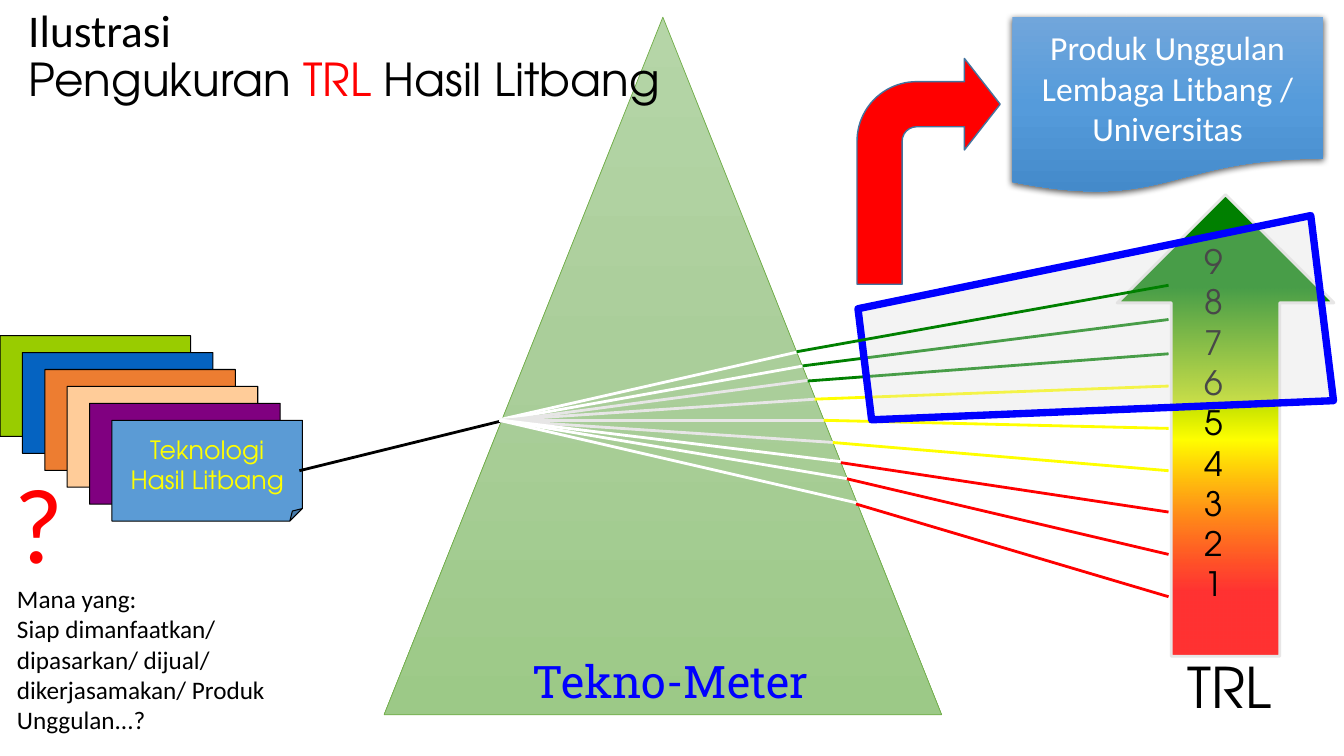
from dataclasses import dataclass
from typing import Optional

from pptx import Presentation
from pptx.dml.color import RGBColor
from pptx.enum.shapes import MSO_CONNECTOR, MSO_SHAPE
from pptx.enum.text import MSO_ANCHOR, MSO_AUTO_SIZE, PP_ALIGN
from pptx.oxml.ns import qn
from pptx.util import Inches, Pt
from lxml.etree import SubElement

BLACK = RGBColor(0x00, 0x00, 0x00)
WHITE = RGBColor(0xFF, 0xFF, 0xFF)
GREY = RGBColor(0xE7, 0xE6, 0xE6)
PANEL_GREY = RGBColor(0xDB, 0xDB, 0xDB)
RED = RGBColor(0xFF, 0x00, 0x00)
YELLOW = RGBColor(0xFF, 0xFF, 0x00)
GREEN = RGBColor(0x00, 0x80, 0x00)
BLUE = RGBColor(0x00, 0x00, 0xFF)
SKY = RGBColor(0x5B, 0x9B, 0xD5)
STEEL = RGBColor(0x43, 0x73, 0x9E)
PRISM_EDGE = RGBColor(0x70, 0xAD, 0x47)
CARD_COLORS = [RGBColor(0x99, 0xCC, 0x00), RGBColor(0x05, 0x63, 0xC1),
               RGBColor(0xED, 0x7D, 0x31), RGBColor(0xFF, 0xCC, 0x99),
               RGBColor(0x80, 0x00, 0x80), SKY]
PRISM_STOPS = [(0, RGBColor(0xB5, 0xD5, 0xA7), 100),
               (50, RGBColor(0xAA, 0xCE, 0x9A), 100),
               (100, RGBColor(0x9C, 0xC9, 0x87), 100)]
PRODUCT_STOPS = [(0, RGBColor(0x71, 0xA6, 0xDB), 100),
                 (50, RGBColor(0x55, 0x9B, 0xDB), 100),
                 (100, RGBColor(0x44, 0x8A, 0xCA), 100)]
LEVEL_STOPS = [(20, GREEN, 100), (53, YELLOW, 100), (86, RED, 80)]

GEOMETRIC = "TeX Gyre Adventor"
PLAIN = "Calibri"


@dataclass
class Span:
    text: str
    size: float
    font: str
    color: RGBColor


@dataclass
class Ray:
    """A beam entering the prism, bending at its edge and ending at a level."""
    entry: tuple
    inner_end: tuple
    inner_color: RGBColor
    edge: tuple
    level_y: float
    outer_color: RGBColor


RAYS = [
    Ray((4.97, 4.16), (7.92, 3.49), WHITE, (7.9, 3.49), 2.83, GREEN),
    Ray((4.96, 4.17), (7.97, 3.63), WHITE, (7.96, 3.63), 3.17, GREEN),
    Ray((4.96, 4.18), (8.04, 3.77), GREY, (8.01, 3.78), 3.51, GREEN),
    Ray((4.96, 4.17), (8.09, 3.96), GREY, (8.08, 3.96), 3.83, YELLOW),
    Ray((4.95, 4.17), (8.17, 4.17), GREY, (8.17, 4.17), 4.25, YELLOW),
    Ray((4.95, 4.17), (8.27, 4.39), GREY, (8.26, 4.39), 4.67, YELLOW),
    Ray((4.98, 4.17), (8.34, 4.58), WHITE, (8.34, 4.59), 5.08, RED),
    Ray((4.97, 4.17), (8.41, 4.75), WHITE, (8.4, 4.75), 5.5, RED),
    Ray((4.95, 4.17), (8.5, 4.99), WHITE, (8.49, 5), 5.92, RED),
]
LEVEL_X = 11.59


def add_span(para, span: Span) -> None:
    run = para.add_run()
    run.text = span.text
    values = {"size": Pt(span.size), "name": span.font}
    for name, value in values.items():
        setattr(run.font, name, value)
    run.font.color.rgb = span.color


def add_shape(slide, kind, place: tuple, fill: Optional[RGBColor], line: Optional[RGBColor],
              width: float = 1, guides: Optional[dict] = None, stops: tuple = ()):
    shape = slide.shapes.add_shape(kind, *map(Inches, place))
    shape.shadow.inherit = False
    if guides:
        set_guides(shape, guides)
    if stops:
        fill_gradient(shape, stops)
    else:
        shape.fill.solid()
        shape.fill.fore_color.rgb = fill
    if line is None:
        shape.line.fill.background()
    else:
        shape.line.color.rgb = line
        shape.line.width = Pt(width)
    return shape


def set_guides(shape, guides: dict) -> None:
    geometry = shape.element.spPr.find(qn("a:prstGeom"))
    for old_list in geometry.findall(qn("a:avLst")):
        geometry.remove(old_list)
    guide_list = SubElement(geometry, qn("a:avLst"))
    for name, value in guides.items():
        SubElement(guide_list, qn("a:gd"), name=name, fmla=f"val {round(value * 100000)}")


def fill_gradient(shape, stops: tuple) -> None:
    shape.fill.gradient()
    shape.fill.gradient_angle = 270
    stop_list = shape.element.spPr.find(qn("a:gradFill")).find(qn("a:gsLst"))
    for old_stop in list(stop_list):
        stop_list.remove(old_stop)
    for position, color, opacity in stops:
        stop = SubElement(stop_list, qn("a:gs"), pos=str(position * 1000))
        tone = SubElement(stop, qn("a:srgbClr"), val=str(color))
        if opacity < 100:
            SubElement(tone, qn("a:alpha"), val=str(opacity * 1000))


def add_line(slide, start: tuple, end: tuple, color: RGBColor) -> None:
    line = slide.shapes.add_connector(MSO_CONNECTOR.STRAIGHT,
                                      *map(Inches, (*start, *end)))
    line.line.color.rgb = color
    line.line.width = Pt(2)
    SubElement(line.element.spPr, qn("a:effectLst"))


def add_text(slide, place: tuple, spans: list, align=PP_ALIGN.LEFT):
    """Add a text box with one paragraph for each span."""
    box = slide.shapes.add_textbox(*map(Inches, place))
    frame = box.text_frame
    values = {"word_wrap": True, "auto_size": MSO_AUTO_SIZE.SHAPE_TO_FIT_TEXT}
    for name, value in values.items():
        setattr(frame, name, value)
    for index, span in enumerate(spans):
        para = frame.add_paragraph() if index else frame.paragraphs[0]
        para.alignment = align
        add_span(para, span)
    return box


def add_label(shape, span: Span) -> None:
    para = shape.text_frame.paragraphs[0]
    para.alignment = PP_ALIGN.CENTER
    add_span(para, span)


def add_title(slide) -> None:
    title = slide.shapes.title
    title.element.getparent().append(title.element)
    place = {"left": 0.18, "top": 0.01, "width": 12, "height": 1.12}
    for name, value in place.items():
        setattr(title, name, Inches(value))
    values = {"word_wrap": True, "auto_size": MSO_AUTO_SIZE.NONE,
              "vertical_anchor": MSO_ANCHOR.MIDDLE}
    for name, value in values.items():
        setattr(title.text_frame, name, value)
    para = title.text_frame.paragraphs[0]
    para.alignment = PP_ALIGN.LEFT
    para.line_spacing = 0.9
    add_span(para, Span("Ilustrasi", 32.4, PLAIN, BLACK))
    para.add_line_break()
    for text, color in (("Pengukuran ", BLACK), ("TRL", RED), (" Hasil Litbang", BLACK)):
        add_span(para, Span(text, 32.4, GEOMETRIC, color))


def main() -> None:
    deck = Presentation()
    deck.slide_width, deck.slide_height = Inches(13.33), Inches(7.5)
    slide = deck.slides.add_slide(deck.slide_layouts[5])
    # Level arrow with its scale
    add_shape(slide, MSO_SHAPE.UP_ARROW, (11.08, 1.93, 2.15, 4.58), None, GREY, 2,
              stops=LEVEL_STOPS)
    scale = add_text(slide, (11.85, 2.34, 0.66, 4.17),
                     [Span("987654321", 24, GEOMETRIC, BLACK)])
    scale.text_frame.auto_size = MSO_AUTO_SIZE.NONE
    scale.element.txBody.find(qn("a:bodyPr")).set("vert", "wordArtVert")
    # Prism and stack of technology cards
    add_shape(slide, MSO_SHAPE.ISOSCELES_TRIANGLE, (3.81, 0.17, 5.53, 6.92), None,
              PRISM_EDGE, 0.5, stops=PRISM_STOPS)
    for index, color in enumerate(CARD_COLORS):
        card = add_shape(slide, MSO_SHAPE.FOLDED_CORNER,
                         (index * 1.11 / 5, 3.33 + index * 0.84 / 5, 1.89, 1),
                         color, BLACK, 0.75, {"adj": 0.125})
    add_label(card, Span("Teknologi Hasil Litbang", 18, GEOMETRIC, YELLOW))
    # Rays through the prism; the top one ends above the panel
    add_line(slide, (2.97, 4.67), (5, 4.17), BLACK)
    for ray in RAYS:
        add_line(slide, ray.entry, ray.inner_end, ray.inner_color)
    top_ray, *lower_rays = RAYS
    for ray in lower_rays:
        add_line(slide, ray.edge, (LEVEL_X, ray.level_y), ray.outer_color)
    # Title and captions
    add_text(slide, (11.27, 6.42, 1.85, 0.77), [Span("TRL", 40, GEOMETRIC, BLACK)],
             PP_ALIGN.CENTER)
    add_title(slide)
    add_text(slide, (4.41, 6.44, 4.48, 0.64),
             [Span("Tekno-Meter", 32, "Roboto Slab", BLUE)], PP_ALIGN.CENTER)
    # Translucent panel over the highest levels
    panel = add_shape(slide, MSO_SHAPE.FLOWCHART_MANUAL_OPERATION,
                      (9.92, 1.05, 1.85, 4.57), PANEL_GREY, BLUE, 5.25)
    panel.rotation = 83
    tone = panel.element.spPr.find(qn("a:solidFill")).find(qn("a:srgbClr"))
    SubElement(tone, qn("a:alpha"), val="33000")
    # Leading product with a soft shadow
    product = add_shape(slide, MSO_SHAPE.FLOWCHART_DOCUMENT, (10.04, 0.17, 3.08, 1.75),
                        None, None, stops=PRODUCT_STOPS)
    effects = product.element.spPr.find(qn("a:effectLst"))
    shadow = SubElement(effects, qn("a:outerShdw"), blurRad=str(int(Pt(4.5))),
                        dist=str(int(Pt(1.5))), dir="5400000", rotWithShape="0")
    shade = SubElement(shadow, qn("a:srgbClr"), val=str(BLACK))
    SubElement(shade, qn("a:alpha"), val="63000")
    add_label(product, Span("Produk Unggulan Lembaga Litbang / Universitas", 24, PLAIN, WHITE))
    # Question, bent arrow and top ray
    question = "Siap dimanfaatkan/ dipasarkan/ dijual/ dikerjasamakan/ Produk Unggulan...?"
    add_text(slide, (0.07, 4.54, 2.75, 2.83),
             [Span("?", 72, "Lato", RED), Span("Mana yang:", 18, PLAIN, BLACK),
              Span(question, 18, PLAIN, BLACK)])
    add_shape(slide, MSO_SHAPE.BENT_ARROW, (8.5, 0.58, 1.42, 2.24), RED, STEEL, 1,
              {"adj1": 0.315, "adj2": 0.32, "adj3": 0.25, "adj4": 0.416})
    add_line(slide, top_ray.edge, (LEVEL_X, top_ray.level_y), top_ray.outer_color)
    deck.save("out.pptx")


if __name__ == "__main__":
    main()
